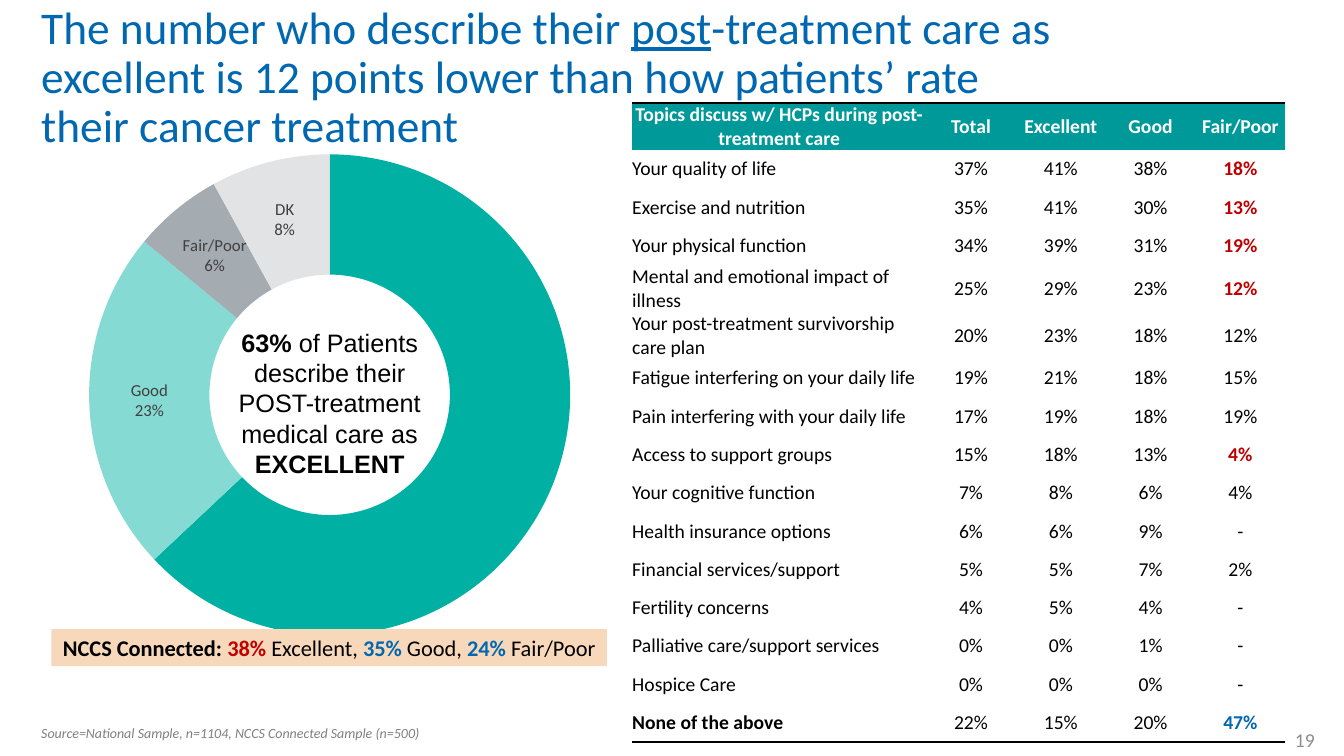
from lxml import etree
from pptx import Presentation
from pptx import util as u
from pptx.chart.data import CategoryChartData
from pptx.dml.color import RGBColor
from pptx.enum import chart as ch, shapes, text
from pptx.oxml import parse_xml
from pptx.oxml.ns import nsdecls, qn

W, H = u.Inches(13.33), u.Inches(7.5)
COL, ROW = W / 100, H / 100  # grid of 100 columns by 100 rows
COLORS = {"blue": "0067B1", "red": "C00000", "black": "000000", "white": "FFFFFF",
          "header": "009999", "peach": "F8D8BA", "label": "404040",
          "source": "808080", "number": "8C8C8C"}
RATINGS = [("Excellent", 63, "00B1A3"), ("Good", 23, "85DAD3"),
           ("Fair/Poor", 6, "A4ABB1"), ("DK", 8, "E1E3E5")]
HEADER = ["Topics discuss w/ HCPs during post-treatment care",
          "Total", "Excellent", "Good", "Fair/Poor"]
# topic, values, colour of the last value
TOPICS = [
    ("Your quality of life", "37% 41% 38% 18%", "red"),
    ("Exercise and nutrition", "35% 41% 30% 13%", "red"),
    ("Your physical function", "34% 39% 31% 19%", "red"),
    ("Mental and emotional impact of illness", "25% 29% 23% 12%", "red"),
    ("Your post-treatment survivorship care plan", "20% 23% 18% 12%", "black"),
    ("Fatigue interfering on your daily life", "19% 21% 18% 15%", "black"),
    ("Pain interfering with your daily life", "17% 19% 18% 19%", "black"),
    ("Access to support groups", "15% 18% 13% 4%", "red"),
    ("Your cognitive function", "7% 8% 6% 4%", "black"),
    ("Health insurance options", "6% 6% 9% -", "black"),
    ("Financial services/support", "5% 5% 7% 2%", "black"),
    ("Fertility concerns", "4% 5% 4% -", "black"),
    ("Palliative care/support services", "0% 0% 1% -", "black"),
    ("Hospice Care", "0% 0% 0% -", "black"),
    ("None of the above", "22% 15% 20% 47%", "blue"),
]


def rgb(name):
    return RGBColor.from_string(COLORS[name])


def place(left, top, width, height):
    return [int(v) for v in (left * COL, top * ROW, width * COL, height * ROW)]


def style(font, size, color, name="Calibri", bold=False, italic=False):
    font.size, font.name, font.bold, font.italic = u.Pt(size), name, bold, italic
    font.color.rgb = rgb(color)


def write(sp, runs, size, color, align="LEFT", anchor="TOP", **kw):
    """Each run is (text, font attributes); a colour is given by its name."""
    tf = sp.text_frame
    tf.word_wrap = True
    tf.vertical_anchor = getattr(text.MSO_ANCHOR, anchor)
    p = tf.paragraphs[0]
    p.alignment = getattr(text.PP_ALIGN, align)
    style(p.font, size, color, **kw)
    for words, attrs in runs:
        r = p.add_run()
        r.text = words
        for key, value in attrs.items():
            if key == "color":
                r.font.color.rgb = rgb(value)
            else:
                setattr(r.font, key, value)
    return p


def add_title(s, box):
    p = write(s.shapes.add_textbox(*box), [
        ("The number who describe their ", {}), ("post", {"underline": True}),
        ("-treatment care as excellent is 12 points lower than how patients’ rate "
         "their cancer treatment", {})], 32.4, "blue", anchor="MIDDLE")
    p.line_spacing = 0.9


def add_doughnut(s, box):
    left, top, width, height = box
    data = CategoryChartData()
    data.categories = [name for name, _, _ in RATINGS]
    data.add_series("Series 1", [value for _, value, _ in RATINGS])
    chart = s.shapes.add_chart(ch.XL_CHART_TYPE.DOUGHNUT, *box, data).chart
    chart.has_legend = chart.has_title = False
    style(chart.font, 10, "black")
    plot = chart.plots[0]
    plot.vary_by_categories = False
    series = plot.series[0]
    for i, (_, _, fill) in enumerate(RATINGS):
        point = series.points[i].format
        point.fill.solid()
        point.fill.fore_color.rgb = RGBColor.from_string(fill)
        point.line.fill.background()

    # Labels: category over percent, none on the first slice
    labels = series.data_labels
    style(labels.font, 12, "label")
    labels.show_category_name = labels.show_percentage = True
    labels.show_value = labels.show_legend_key = False
    labels.number_format, labels.number_format_is_linked = "0%", False
    el = labels._element
    el.insert(0, parse_xml(f'<c:dLbl {nsdecls("c")}><c:idx val="0"/>'
                           '<c:delete val="1"/></c:dLbl>'))
    separator = etree.Element(qn("c:separator"))
    separator.text = "\n"
    before = el.find(qn("c:showBubbleSize"))
    if before is None:
        before = el.find(qn("c:showPercent"))
    before.addnext(separator)

    # Hole and plot area
    plot._element.find(qn("c:holeSize")).set("val", "69")
    area = chart._chartSpace.chart.plotArea
    for old in area.findall(qn("c:layout")):
        area.remove(old)
    sizes = "".join(f'<c:{k} val="{v}"/>' for k, v in
                    (("x", 0.115), ("y", 0.03), ("w", 0.77), ("h", 0.945)))
    area.insert(0, parse_xml(
        f'<c:layout {nsdecls("c")}><c:manualLayout><c:layoutTarget val="inner"/>'
        f'<c:xMode val="edge"/><c:yMode val="edge"/>{sizes}</c:manualLayout></c:layout>'))

    # Message in the hole
    hole = s.shapes.add_textbox(int(left + 0.33 * width), int(top + 0.36 * height),
                                int(0.34 * width), int(0.32 * height))
    write(hole, [("63% ", {"bold": True}),
                 ("of Patients describe their POST-treatment medical care as ", {}),
                 ("EXCELLENT", {"bold": True})], 18, "black", "CENTER", name="Arial")


def add_banner(s, box):
    sp = s.shapes.add_shape(shapes.MSO_SHAPE.RECTANGLE, *box)
    sp.shadow.inherit = False
    sp.fill.solid()
    sp.fill.fore_color.rgb = rgb("peach")
    sp.line.fill.background()
    runs = [("NCCS Connected: ", {"bold": True})]
    for value, color, rating in (("38%", "red", " Excellent, "), ("35%", "blue", " Good, "),
                                 ("24%", "blue", " Fair/Poor")):
        runs += [(value, {"bold": True, "color": color}), (rating, {})]
    write(sp, runs, 16, "black", "CENTER")


def fill_cell(cell, words, fill, color, bold, align, edge=None):
    cell.margin_left = cell.margin_right = cell.margin_top = cell.margin_bottom = 0
    cell.vertical_anchor = text.MSO_ANCHOR.MIDDLE
    cell.fill.solid()
    cell.fill.fore_color.rgb = rgb(fill)
    p = cell.text_frame.paragraphs[0]
    p.text, p.alignment = words, align
    style(p.font, 14, color, bold=bold)
    if edge:
        cell._tc.get_or_add_tcPr().insert(0, parse_xml(
            f'<a:{edge} {nsdecls("a")} w="25400"><a:solidFill>'
            f'<a:srgbClr val="{COLORS["black"]}"/></a:solidFill></a:{edge}>'))


def add_topics(s, box):
    table = s.shapes.add_table(len(TOPICS) + 1, len(HEADER), *box).table
    table._tbl.find(".//" + qn("a:tableStyleId")).text = \
        "{2D5ABB26-0587-4C30-8999-92F81FD0307C}"  # no style, no grid
    for i, column in enumerate(table.columns):
        column.width = int(box[2] * (0.1375 if i else 0.45))
    for i, row in enumerate(table.rows):
        row.height = u.Inches(0.38 if i else 0.15)
    center, left = text.PP_ALIGN.CENTER, text.PP_ALIGN.LEFT
    for c, words in enumerate(HEADER):
        fill_cell(table.cell(0, c), words, "header", "white", True, center, "lnT")
    for r, (topic, values, last) in enumerate(TOPICS, 1):
        final = r == len(TOPICS)
        for c, words in enumerate([topic, *values.split()]):
            color = last if c == 4 else "black"
            bold = color != "black" or (final and c == 0)
            fill_cell(table.cell(r, c), words, "white", color, bold,
                      center if c else left, "lnB" if final else None)


def add_footer(s, source_box, number_box):
    write(s.shapes.add_textbox(*source_box),
          [("Source=National Sample, n=1104, NCCS Connected Sample (n=500)", {})],
          10, "source", italic=True)
    write(s.shapes.add_textbox(*number_box), [("19", {})], 14, "number", "RIGHT", "MIDDLE")


def main():
    prs = Presentation()
    prs.slide_width, prs.slide_height = W, H
    s = prs.slides.add_slide(prs.slide_layouts[6])
    add_title(s, place(2.33, 3.33, 78.4, 14.13))
    add_doughnut(s, place(1.2, 18.4, 46.66, 67.33))
    add_banner(s, place(3.83, 83.2, 41.33, 4.93))
    add_topics(s, place(47.04, 13.6, 48.6, 78))
    add_footer(s, place(2.33, 95.2, 50.2, 3.6), place(91.22, 95.6, 7.35, 4.4))
    prs.save("out.pptx")


if __name__ == "__main__":
    main()
